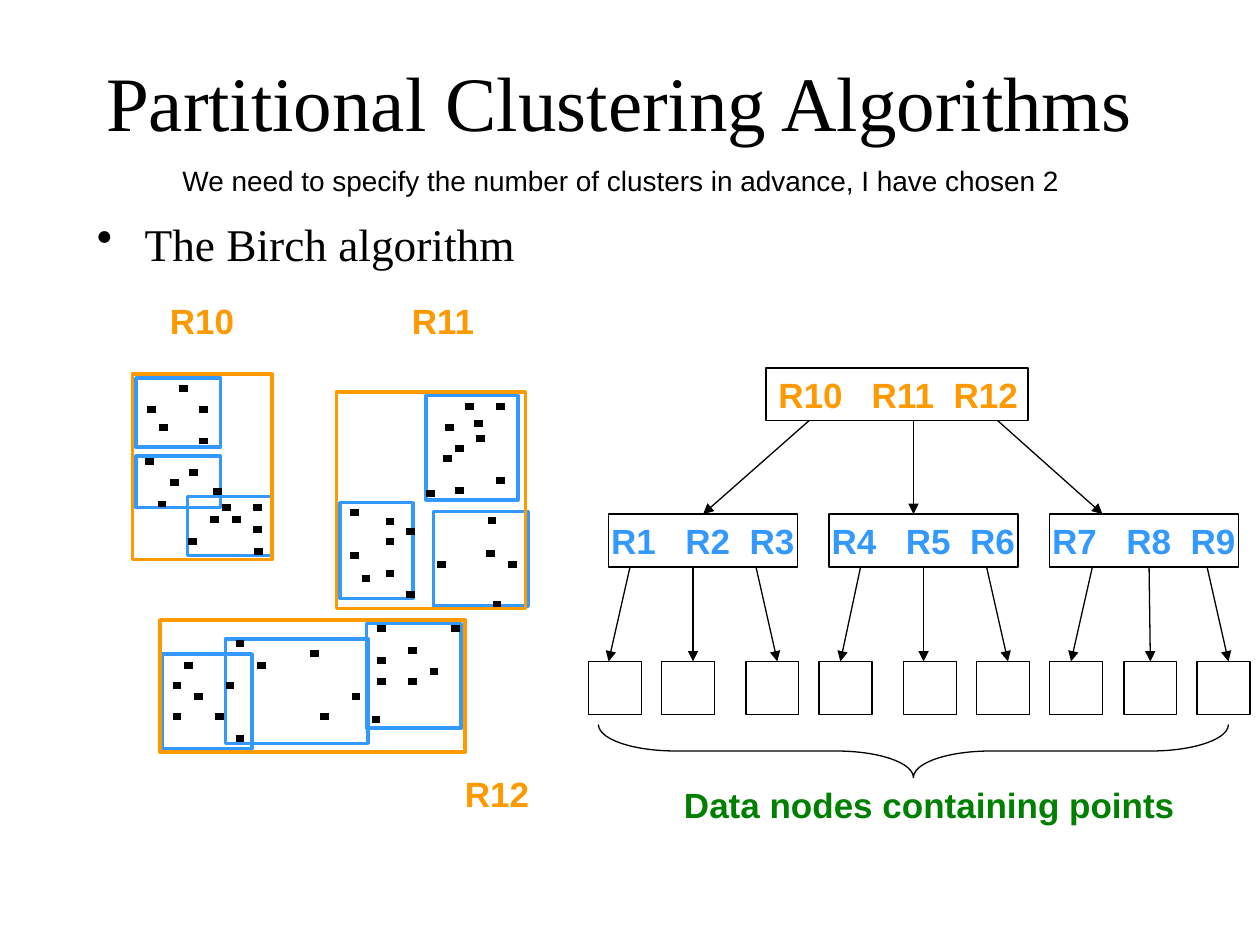
from lxml.etree import SubElement
from pptx import Presentation
from pptx.dml.color import RGBColor
from pptx.enum.shapes import MSO_CONNECTOR as Connector, MSO_SHAPE as Shape
from pptx.enum.text import MSO_ANCHOR as Anchor, PP_ALIGN as Align
from pptx.oxml.ns import qn
from pptx.util import Inches, Pt

COLORS = {"black": "000000", "orange": "FF9900", "blue": "3399FF", "green": "008000"}
NODE_SIZE = 0.42
ROOT_TOP, GROUP_TOP, LEAF_TOP = 2.92, 4.08, 5.25
POINT_LENGTH = 0.07

ROOT_ARROWS = [(6.42, 5.58), (7.25, 7.25), (7.92, 8.75)]
GROUPS = [
    (4.83, "R1\tR2\tR3", [4.67, 5.25, 5.92], [(5, 4.83), (5.5, 5.5), (6, 6.17)]),
    (6.58, "R4\tR5\tR6", [6.5, 7.17, 7.75], [(6.83, 6.67), (7.33, 7.33), (7.83, 8)]),
    (8.33, "R7\tR8\tR9", [8.33, 8.92, 9.5], [(8.67, 8.5), (9.12, 9.12), (9.58, 9.75)]),
]

CLUSTERS = [
    ((1.08, 3, 0.67, 0.55),
     [(1.42, 3.08), (1.17, 3.25), (1.58, 3.25), (1.26, 3.39), (1.58, 3.5)]),
    ((1.08, 3.62, 0.67, 0.41),
     [(1.15, 3.66), (1.5, 3.75), (1.35, 3.83), (1.69, 3.9), (1.25, 4)]),
    ((1.49, 3.94, 0.67, 0.47),
     [(1.76, 4.03), (2.01, 4.03), (1.67, 4.12), (1.84, 4.12), (2.01, 4.2),
      (1.49, 4.3), (2.02, 4.38)]),
    ((3.38, 3.14, 0.73, 0.83),
     [(3.69, 3.23), (3.94, 3.23), (3.76, 3.36), (3.53, 3.39), (3.78, 3.48),
      (3.61, 3.56), (3.52, 3.64), (3.94, 3.81), (3.61, 3.89), (3.38, 3.92)]),
    ((2.7, 3.99, 0.58, 0.76),
     [(2.78, 4.07), (3.06, 4.14), (3.22, 4.22), (3.06, 4.3), (2.78, 4.41),
      (3.06, 4.55), (2.87, 4.59), (3.22, 4.72)]),
    ((3.44, 4.06, 0.75, 0.75),
     [(3.87, 4.13), (3.86, 4.39), (3.47, 4.48), (4.03, 4.48), (3.91, 4.8)]),
    ((1.29, 5.19, 0.71, 0.75),
     [(1.46, 5.28), (1.37, 5.44), (1.54, 5.53), (1.37, 5.69), (1.71, 5.69)]),
    ((1.79, 5.07, 1.13, 0.83),
     [(1.87, 5.11), (2.46, 5.19), (2.04, 5.28), (1.79, 5.44), (2.79, 5.53),
      (2.54, 5.69), (1.87, 5.86)]),
    ((2.91, 4.95, 0.75, 0.83),
     [(2.99, 4.99), (3.58, 4.99), (3.24, 5.16), (2.99, 5.24), (3.41, 5.33),
      (2.99, 5.41), (3.24, 5.41), (2.95, 5.71)]),
]
REGIONS = [(2.67, 3.11, 1.5, 1.72), (1.05, 2.97, 1.11, 1.47), (1.27, 4.92, 2.42, 1.05)]
REGION_LABELS = [("R10", 1.25, 2.33), ("R11", 3.17, 2.33), ("R12", 3.59, 6.08)]


def color(name):
    return RGBColor.from_string(COLORS[name])


def style_text(para, size, name, font="Arial", bold=False):
    for span in para.runs:
        span.font.name = font
        span.font.size = Pt(size)
        span.font.bold = bold
        span.font.color.rgb = color(name)


def add_text(page, text, left, top, width, height, size, name,
             font="Arial", bold=False, wrap=True):
    box = page.shapes.add_textbox(Inches(left), Inches(top), Inches(width), Inches(height))
    box.text_frame.text = text
    box.text_frame.word_wrap = wrap
    style_text(box.text_frame.paragraphs[0], size, name, font, bold)
    return box


def add_outline(page, left, top, width, height, name="black", weight=0.75, kind=Shape.RECTANGLE):
    shape = page.shapes.add_shape(kind, Inches(left), Inches(top), Inches(width), Inches(height))
    shape.shadow.inherit = False
    shape.fill.background()
    shape.line.color.rgb = color(name)
    shape.line.width = Pt(weight)
    return shape


def add_node(page, text, left, top, width, name, inset, tab_stops):
    node = add_outline(page, left, top, width, NODE_SIZE)
    frame = node.text_frame
    frame.text = text
    frame.word_wrap = True
    frame.vertical_anchor = Anchor.MIDDLE
    frame.margin_left = Inches(inset)
    frame.margin_right = frame.margin_top = frame.margin_bottom = 0
    para = frame.paragraphs[0]
    para.alignment = Align.LEFT
    tabs = SubElement(para._p.get_or_add_pPr(), qn("a:tabLst"))
    for stop in tab_stops:
        SubElement(tabs, qn("a:tab"), pos=str(Inches(stop)), algn="l")
    style_text(para, 20, name, bold=True)
    return node


def add_line(page, x1, y1, x2, y2, weight):
    line = page.shapes.add_connector(
        Connector.STRAIGHT, Inches(x1), Inches(y1), Inches(x2), Inches(y2))
    line.line.color.rgb = color("black")
    line.line.width = Pt(weight)
    SubElement(line._element.spPr, qn("a:effectLst"))
    return line


def is_middle(shape, x):
    return abs(shape.left + shape.width / 2 - Inches(x)) < Inches(0.02)


def add_arrow(page, source, target, x1, x2):
    y1 = (source.top + source.height) / Inches(1)
    y2 = target.top / Inches(1)
    arrow = add_line(page, x1, y1, x2, y2, 0.75)
    SubElement(arrow.line._get_or_add_ln(), qn("a:tailEnd"), type="triangle")
    if is_middle(source, x1):
        arrow.begin_connect(source, 2)
    if is_middle(target, x2):
        arrow.end_connect(target, 0)


def add_heading(page):
    title = add_text(page, "Partitional Clustering Algorithms", 0.67, 0.17, 8.5, 1.25,
                     44, "black", "Times New Roman")
    title.text_frame.vertical_anchor = Anchor.MIDDLE
    title.text_frame.paragraphs[0].alignment = Align.CENTER
    add_text(page, "We need to specify the number of clusters in advance, I have chosen 2",
             1.35, 1.25, 7.16, 0.37, 16, "black", wrap=False)

    body = add_text(page, "The Birch algorithm", 0.67, 1.75, 8.5, 0.46,
                    25.9, "black", "Times New Roman")
    para = body.text_frame.paragraphs[0]
    para.line_spacing = 0.8
    props = para._p.get_or_add_pPr()
    props.set("marL", str(Inches(0.38)))
    props.set("indent", str(-Inches(0.38)))
    SubElement(props, qn("a:buChar"), char="•")


def add_tree(page):
    root = add_node(page, "R10\tR11\tR12", 6.08, ROOT_TOP, 2.08, "orange", 0.1, [0.74, 1.39])
    for (left, text, leaf_lefts, leaf_arrows), root_arrow in zip(GROUPS, ROOT_ARROWS):
        group = add_node(page, text, left, GROUP_TOP, 1.5, "blue", 0.02, [0.59, 1.1])
        add_arrow(page, root, group, *root_arrow)
        for leaf_left, leaf_arrow in zip(leaf_lefts, leaf_arrows):
            leaf = add_outline(page, leaf_left, LEAF_TOP, NODE_SIZE, NODE_SIZE)
            add_arrow(page, group, leaf, *leaf_arrow)
    brace = add_outline(page, 7.04, 3.46, 0.42, 5, kind=Shape.LEFT_BRACE)
    brace.rotation = 270
    brace.adjustments[0] = 1.46
    add_text(page, "Data nodes containing points", 5.33, 6.17, 4.42, 0.44,
             20, "green", bold=True)


def add_clusters(page):
    for bounds, points in CLUSTERS:
        add_outline(page, *bounds, "blue", 2)
        for x, y in points:
            add_line(page, x, y, x + POINT_LENGTH, y, 4)
    for bounds in REGIONS:
        add_outline(page, *bounds, "orange", 2)
    for text, left, top in REGION_LABELS:
        add_text(page, text, left, top, 0.71, 0.44, 20, "orange", bold=True, wrap=False)


def main():
    deck = Presentation()
    deck.slide_width, deck.slide_height = Inches(10), Inches(7.5)
    page = deck.slides.add_slide(deck.slide_layouts[6])
    add_heading(page)
    add_tree(page)
    add_clusters(page)
    deck.save("out.pptx")


if __name__ == "__main__":
    main()
